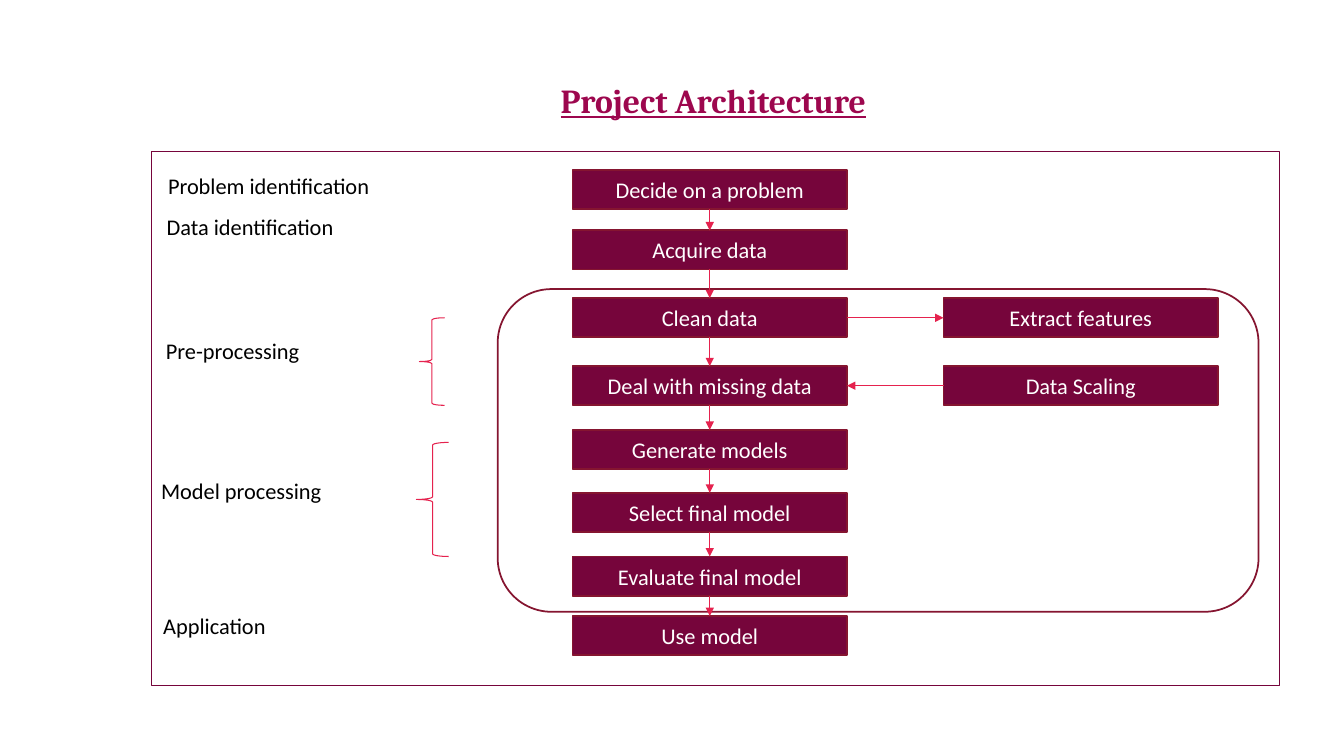
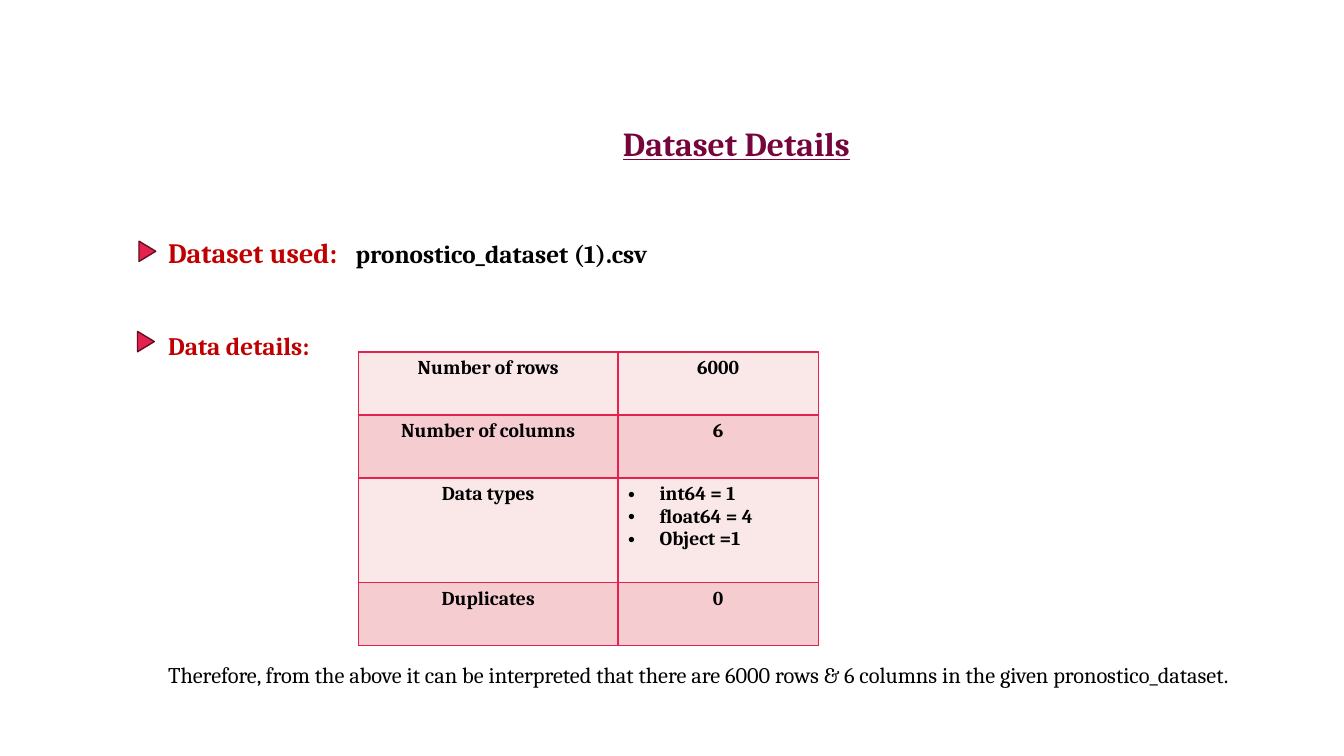
from lxml import etree
from pptx import Presentation
from pptx.dml.color import RGBColor
from pptx.enum.shapes import MSO_CONNECTOR, MSO_SHAPE
from pptx.enum.text import MSO_ANCHOR, PP_ALIGN
from pptx.oxml.ns import qn
from pptx.util import Pt

RECT, ROUND_RECT = MSO_SHAPE.RECTANGLE, MSO_SHAPE.ROUNDED_RECTANGLE
BRACE, TRIANGLE = MSO_SHAPE.LEFT_BRACE, MSO_SHAPE.ISOSCELES_TRIANGLE
STRAIGHT = MSO_CONNECTOR.STRAIGHT
LEFT, CENTER = PP_ALIGN.LEFT, PP_ALIGN.CENTER
MIDDLE = MSO_ANCHOR.MIDDLE

WHITE = RGBColor(0xFF, 0xFF, 0xFF)
BLACK = RGBColor(0x00, 0x00, 0x00)
PLUM = RGBColor(0x76, 0x05, 0x3B)
MAGENTA = RGBColor(0x9D, 0x07, 0x4E)
WINE = RGBColor(0x85, 0x15, 0x30)
DARK_WINE = RGBColor(0x64, 0x0F, 0x22)
CRIMSON = RGBColor(0xE5, 0x22, 0x4E)
RED = RGBColor(0xC0, 0x00, 0x00)
BANDS = (RGBColor(0xFA, 0xE8, 0xE9), RGBColor(0xF5, 0xCD, 0xD0))

SANS, SERIF = "Calibri", "Cambria"

STEP_X, SIDE_X, STEP_W, STEP_H = 409, 674, 196, 28
STEPS = [
    ("Decide on a problem", 121.5),
    ("Acquire data", 164.5),
    ("Clean data", 213),
    ("Deal with missing data", 261.5),
    ("Generate models", 307),
    ("Select final model", 352),
    ("Evaluate final model", 397.5),
    ("Use model", 440),
]
CLEAN_Y, MISSING_Y = STEPS[2][1], STEPS[3][1]
PHASES = [
    ("Problem identification", 113, 119.5),
    ("Data identification", 112, 149),
    ("Pre-processing", 111.5, 237),
    ("Model processing", 108, 337),
    ("Application", 109.5, 434),
]
BRACES = [(299.5, 227, 18, 62.5), (297.5, 316, 23, 81.5)]

TEXT_X, TEXT_W = 113, 826
DATA_ROWS = [
    ("Number of rows", ["6000"], 45),
    ("Number of columns", ["6"], 45),
    ("Data types", ["int64 = 1", "float64 = 4", "Object =1"], 74.5),
    ("Duplicates", ["0"], 45),
]
DATA_COLS = (185.5, 143)


def style(font, size, color, name=SERIF, bold=False, underline=False):
    font.name, font.size, font.bold, font.underline = name, Pt(size), bold, underline
    font.color.rgb = color


def add_shape(s, kind, left, top, width, height, line, weight, fill=None):
    sp = s.shapes.add_shape(kind, Pt(left), Pt(top), Pt(width), Pt(height))
    sp.shadow.inherit = False
    if fill is None:
        sp.fill.background()
    else:
        sp.fill.solid()
        sp.fill.fore_color.rgb = fill
    sp.line.color.rgb = line
    sp.line.width = Pt(weight)
    return sp


def add_text(s, text, left, top, width, align=LEFT, **font):
    tb = s.shapes.add_textbox(Pt(left), Pt(top), Pt(width), Pt(27))
    tf = tb.text_frame
    tf.word_wrap = True
    p = tf.paragraphs[0]
    p.text = text
    p.alignment = align
    style(p.runs[0].font, **font)
    return p


def add_title(s, text, left, top, width, color):
    add_text(s, text, left, top, width, CENTER, size=24, color=color,
             bold=True, underline=True)


def add_step(s, text, left, top):
    sp = add_shape(s, RECT, left, top, STEP_W, STEP_H, WINE, 1.25, PLUM)
    tf = sp.text_frame
    tf.vertical_anchor = MIDDLE
    tf.text = text
    p = tf.paragraphs[0]
    p.alignment = CENTER
    style(p.runs[0].font, 16, WHITE, SANS)


def add_arrow(s, x1, y1, x2, y2):
    cx = s.shapes.add_connector(STRAIGHT, Pt(x1), Pt(y1), Pt(x2), Pt(y2))
    cx.line.color.rgb = CRIMSON
    cx.line.width = Pt(0.75)
    etree.SubElement(cx.line._get_or_add_ln(), qn("a:tailEnd"), type="triangle")
    etree.SubElement(cx._element.spPr, qn("a:effectLst"))


def add_bullet(p):
    pPr = p._p.get_or_add_pPr()
    pPr.set("marL", str(Pt(22.5)))
    pPr.set("indent", str(-Pt(22.5)))
    etree.SubElement(pPr, qn("a:buFont"), typeface="Arial")
    etree.SubElement(pPr, qn("a:buChar"), char="•")


def add_tab_stop(p, position):
    tabs = etree.SubElement(p._p.get_or_add_pPr(), qn("a:tabLst"))
    etree.SubElement(tabs, qn("a:tab"), pos=str(Pt(position)), algn="l")


def add_borders(cell):
    tcPr = cell._tc.get_or_add_tcPr()
    for i, side in enumerate(("lnL", "lnR", "lnT", "lnB")):
        ln = etree.Element(qn(f"a:{side}"), w=str(Pt(1)))
        fill = etree.SubElement(ln, qn("a:solidFill"))
        etree.SubElement(fill, qn("a:srgbClr"), val=str(CRIMSON))
        tcPr.insert(i, ln)


def fill_cell(cell, lines, band):
    """Write one centred line, or several lines as bullets."""
    cell.fill.solid()
    cell.fill.fore_color.rgb = band
    add_borders(cell)
    tf = cell.text_frame
    tf.text = "\n".join(lines)
    for p in tf.paragraphs:
        if len(lines) > 1:
            add_bullet(p)
        else:
            p.alignment = CENTER
        style(p.runs[0].font, 14, BLACK, bold=True)


def add_data_table(s, left, top):
    height = sum(row[2] for row in DATA_ROWS)
    table = s.shapes.add_table(len(DATA_ROWS), len(DATA_COLS), Pt(left), Pt(top),
                               Pt(sum(DATA_COLS)), Pt(height)).table
    table.first_row = False
    for column, width in zip(table.columns, DATA_COLS):
        column.width = Pt(width)
    for i, (label, values, row_height) in enumerate(DATA_ROWS):
        table.rows[i].height = Pt(row_height)
        band = BANDS[i % 2]
        fill_cell(table.cell(i, 0), [label], band)
        fill_cell(table.cell(i, 1), values, band)


def add_marker(s, left, top):
    add_shape(s, TRIANGLE, left, top, 14.5, 12, DARK_WINE, 1, CRIMSON).rotation = 90


def build_architecture(s):
    add_title(s, "Project Architecture", 382, 53.5, 255, MAGENTA)
    add_shape(s, RECT, 108, 108.5, 806, 381.5, PLUM, 0.75, WHITE)
    for text, top in STEPS:
        add_step(s, text, STEP_X, top)
    add_step(s, "Extract features", SIDE_X, CLEAN_Y)
    add_step(s, "Data Scaling", SIDE_X, MISSING_Y)
    add_shape(s, ROUND_RECT, 355.5, 206.5, 543.5, 230.5, WINE, 1.25)
    for box in BRACES:
        add_shape(s, BRACE, *box, CRIMSON, 0.75)

    middle, right = STEP_X + STEP_W / 2, STEP_X + STEP_W
    for (_, top), (_, next_top) in zip(STEPS, STEPS[1:]):
        add_arrow(s, middle, top + STEP_H, middle, next_top)
    clean_mid, missing_mid = CLEAN_Y + STEP_H / 2, MISSING_Y + STEP_H / 2
    add_arrow(s, right, clean_mid, SIDE_X, clean_mid)
    add_arrow(s, SIDE_X, missing_mid, right, missing_mid)

    for text, left, top in PHASES:
        add_text(s, text, left, top, 196, size=16, color=BLACK, name=SANS)


def build_dataset(s):
    add_title(s, "Dataset Details", TEXT_X, 84, TEXT_W, PLUM)
    p = add_text(s, "Dataset used:", TEXT_X, 164.5, TEXT_W,
                 size=20, color=RED, bold=True)
    add_tab_stop(p, 134)
    r = p.add_run()
    r.text = "\tpronostico_dataset (1).csv"
    style(r.font, 18, BLACK, bold=True)
    add_text(s, "Data details:", TEXT_X, 232.5, 140, size=18, color=RED, bold=True)
    add_marker(s, 98, 173.5)
    add_marker(s, 97, 238)
    add_data_table(s, 256, 251.5)
    add_text(s, "Therefore, from the above it can be interpreted that there are "
             "6000 rows & 6 columns in the given pronostico_dataset.",
             TEXT_X, 469, TEXT_W, size=16, color=BLACK)


def main():
    prs = Presentation()
    prs.slide_width, prs.slide_height = Pt(960), Pt(540)
    for build in (build_architecture, build_dataset):
        build(prs.slides.add_slide(prs.slide_layouts[6]))
    prs.save("out.pptx")


if __name__ == "__main__":
    main()
